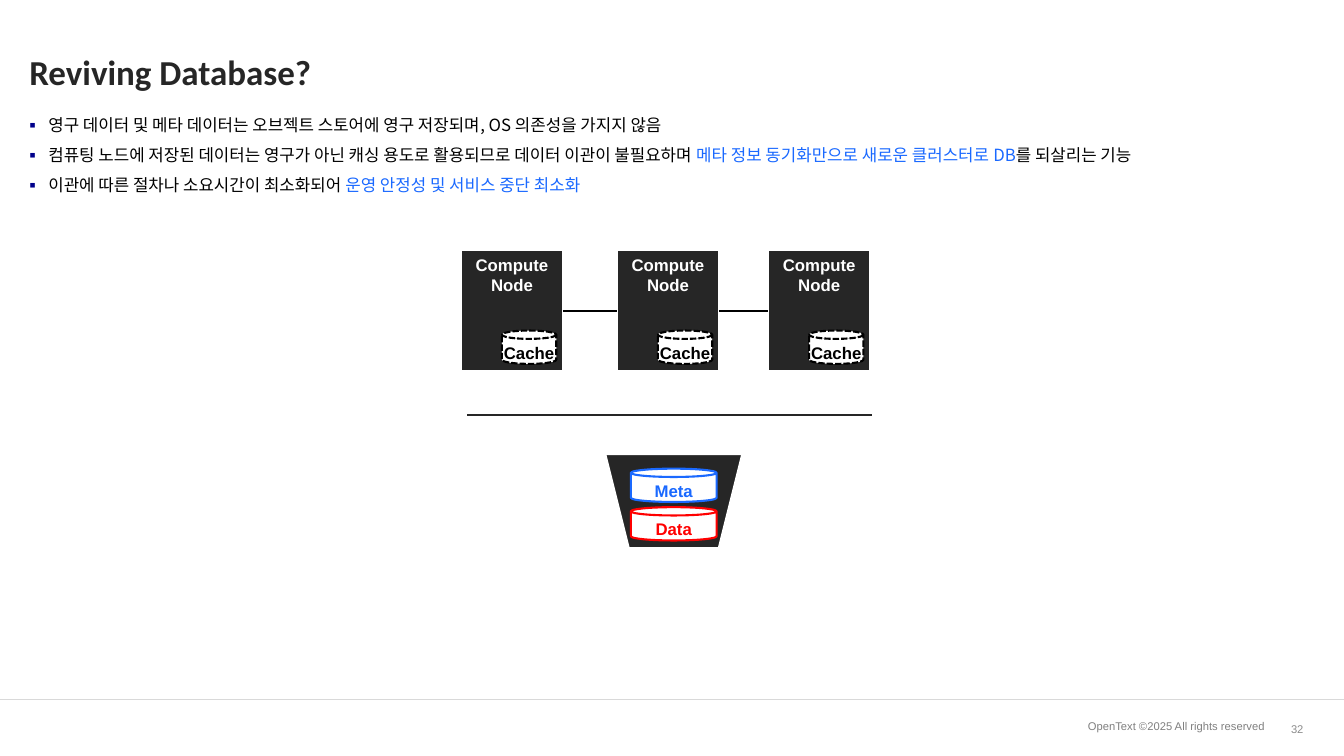
from itertools import pairwise

from lxml.etree import SubElement
from pptx import Presentation
from pptx.dml.color import RGBColor
from pptx.enum.dml import MSO_LINE
from pptx.enum.shapes import MSO_CONNECTOR, MSO_SHAPE
from pptx.enum.text import MSO_ANCHOR, PP_ALIGN
from pptx.oxml.ns import qn
from pptx.util import Cm, Pt

COLORS = {
    "ink": "262626", "black": "000000", "white": "FFFFFF", "blue": "1A69FF",
    "red": "FF0000", "bullet": "00008B", "rule": "D9D9D9",
    "copyright": "808080", "page": "8C8C8C",
}
NODE_WIDTH, NODE_HEIGHT = 2.59, 3.07
CAN_HEIGHT = 0.84

BULLETS = [
    [("영구 데이터 및 메타 데이터는 오브젝트 스토어에 영구 저장되며, OS 의존성을 가지지 않음", "black")],
    [("컴퓨팅 노드에 저장된 데이터는 영구가 아닌 캐싱 용도로 활용되므로 데이터 이관이 불필요하며 ", "black"),
     ("메타 정보 동기화만으로 새로운 클러스터로 DB", "blue"),
     ("를 되살리는 기능", "black")],
    [("이관에 따른 절차나 소요시간이 최소화되어 ", "black"),
     ("운영 안정성 및 서비스 중단 최소화", "blue")],
]


def rgb(name):
    return RGBColor.from_string(COLORS[name])


def add_run(paragraph, text, size, color, font="Arial", bold=False):
    run = paragraph.add_run()
    run.text = text
    run.font.size = Pt(size)
    run.font.name = font
    run.font.bold = bold
    run.font.color.rgb = rgb(color)
    return run


def add_frame(slide, left, top, width, height, anchor=MSO_ANCHOR.TOP, wrap=True):
    """Add a text box and return its text frame."""
    frame = slide.shapes.add_textbox(Cm(left), Cm(top), Cm(width), Cm(height)).text_frame
    frame.word_wrap = wrap
    frame.vertical_anchor = anchor
    return frame


def add_block(slide, preset, left, top, width, height, fill, outline, weight):
    block = slide.shapes.add_shape(preset, Cm(left), Cm(top), Cm(width), Cm(height))
    block.shadow.inherit = False
    block.fill.solid()
    block.fill.fore_color.rgb = rgb(fill)
    block.line.color.rgb = rgb(outline)
    block.line.width = Pt(weight)
    return block


def add_line(slide, left, top, right, bottom, color, weight):
    line = slide.shapes.add_connector(
        MSO_CONNECTOR.STRAIGHT, Cm(left), Cm(top), Cm(right), Cm(bottom))
    line.line.color.rgb = rgb(color)
    line.line.width = Pt(weight)
    SubElement(line._element.spPr, qn("a:effectLst"))
    return line


def add_can(slide, left, top, width, label, color, dashed=False):
    """Add a storage cylinder with its label centred on the lower part."""
    can = add_block(slide, MSO_SHAPE.CAN, left, top, width, CAN_HEIGHT, "white", color, 1.5)
    if dashed:
        can.line.dash_style = MSO_LINE.SQUARE_DOT
    frame = add_frame(slide, left - 0.2, top + 0.17, width + 0.4, 0.76, wrap=False)
    paragraph = frame.paragraphs[0]
    paragraph.alignment = PP_ALIGN.CENTER
    add_run(paragraph, label, 12, color, bold=True)


def add_title(slide, left, top, width, height):
    frame = add_frame(slide, left, top, width, height, MSO_ANCHOR.MIDDLE)
    frame.margin_left, frame.margin_top = 0, Cm(0.2)
    add_run(frame.paragraphs[0], "Reviving Database?", 25, "ink", "Calibri", bold=True)


def add_bullet_mark(paragraph):
    properties = paragraph._p.get_or_add_pPr()
    properties.set("marL", str(Cm(0.48)))
    properties.set("indent", str(-Cm(0.48)))
    bullet_color = SubElement(properties, qn("a:buClr"))
    SubElement(bullet_color, qn("a:srgbClr"), val=COLORS["bullet"])
    SubElement(properties, qn("a:buSzPct"), val="110000")
    SubElement(properties, qn("a:buFont"), typeface="Arial")
    SubElement(properties, qn("a:buChar"), char="▪")


def add_bullets(slide, left, top, width, height):
    frame = add_frame(slide, left, top, width, height)
    frame.margin_left = 0
    for index, parts in enumerate(BULLETS):
        paragraph = frame.add_paragraph() if index else frame.paragraphs[0]
        add_bullet_mark(paragraph)
        paragraph.line_spacing = 1.5
        for text, color in parts:
            run = add_run(paragraph, text, 12, color, "Noto Sans CJK KR")
            SubElement(run.font._element, qn("a:ea"), typeface="Noto Sans CJK KR")


def add_compute_node(slide, left, top):
    node = add_block(slide, MSO_SHAPE.RECTANGLE, left, top, NODE_WIDTH, NODE_HEIGHT,
                     "ink", "white", 2)
    node.text_frame.vertical_anchor = MSO_ANCHOR.TOP
    paragraph = node.text_frame.paragraphs[0]
    paragraph.alignment = PP_ALIGN.CENTER
    add_run(paragraph, "Compute", 12, "white", bold=True)
    paragraph.add_line_break()
    add_run(paragraph, "Node", 12, "white", bold=True)
    add_can(slide, left + 1.04, top + 2.03, 1.37, "Cache", "black", dashed=True)
    return node


def add_cluster(slide, left, top):
    nodes = [add_compute_node(slide, left + offset, top) for offset in (0, 3.93, 7.74)]
    for node, neighbour in pairwise(nodes):
        link = add_line(slide, 0, 0, 1, 1, "black", 2)
        link.begin_connect(node, 3)
        link.end_connect(neighbour, 1)


def add_object_store(slide, left, top, width, height):
    store = add_block(slide, MSO_SHAPE.TRAPEZOID, left, top, width, height, "ink", "white", 2)
    store.rotation = 180
    can_width = 2.16
    can_left = left + (width - can_width) / 2
    for row, (label, color) in enumerate([("Meta", "blue"), ("Data", "red")]):
        add_can(slide, can_left, top + 0.38 + row * 0.97, can_width, label, color)


def add_footer(slide, top, width):
    add_line(slide, 0, top, width, top, "rule", 1)
    entries = [
        ("OpenText ©2025 All rights reserved", 20.7, 11.43, MSO_ANCHOR.TOP, "copyright"),
        ("32", 32.13, 0.97, MSO_ANCHOR.MIDDLE, "page"),
    ]
    for text, left, entry_width, anchor, color in entries:
        frame = add_frame(slide, left, top + 0.38, entry_width, 0.74, anchor)
        frame.paragraphs[0].alignment = PP_ALIGN.RIGHT
        add_run(frame.paragraphs[0], text, 8, color)


def main():
    presentation = Presentation()
    presentation.slide_width, presentation.slide_height = Cm(33.87), Cm(19.05)
    slide = presentation.slides.add_slide(presentation.slide_layouts[6])
    add_footer(slide, 17.62, 33.87)
    add_title(slide, 0.74, 0.43, 32.36, 2.69)
    add_bullets(slide, 0.74, 2.51, 32.36, 14.6)
    add_cluster(slide, 11.61, 6.3)
    add_line(slide, 11.78, 10.46, 21.97, 10.46, "ink", 1.5)
    add_object_store(slide, 15.24, 11.43, 3.48, 2.39)
    presentation.save("out.pptx")


if __name__ == "__main__":
    main()
